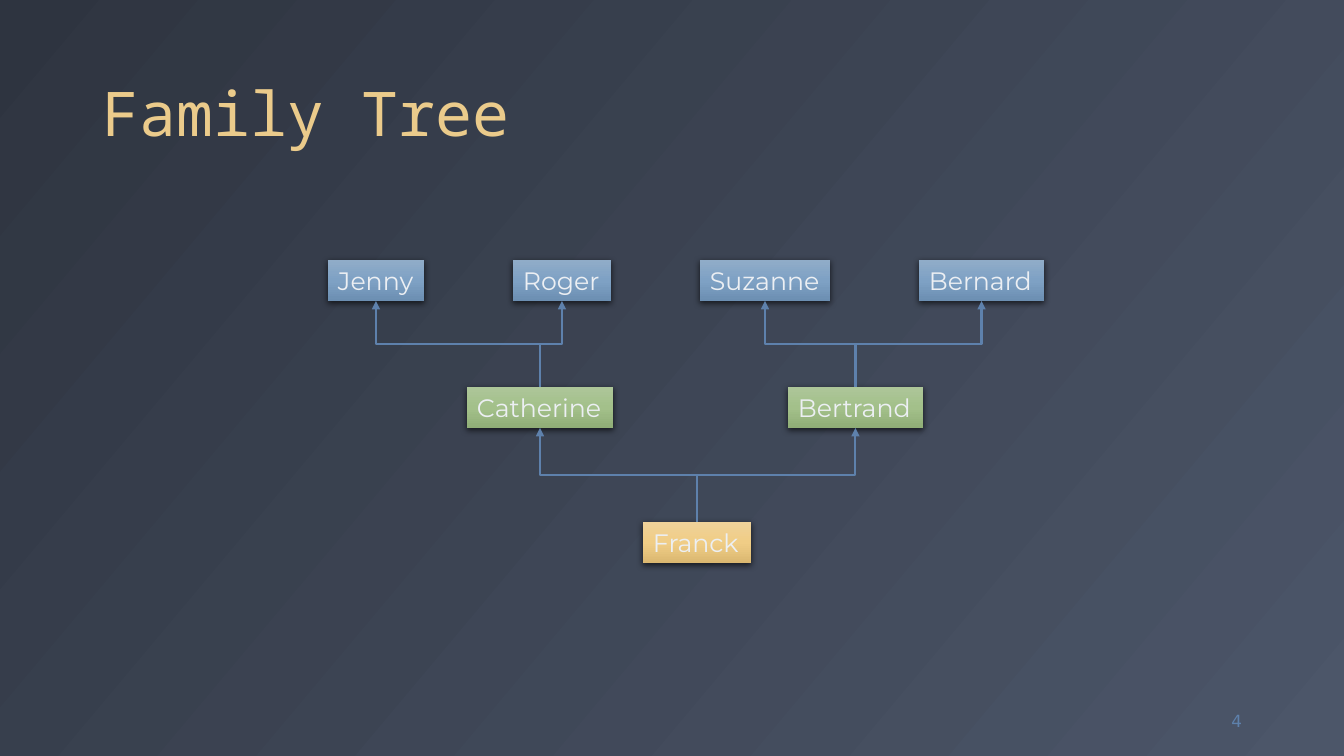
from lxml import etree
from pptx import Presentation
from pptx.dml.color import RGBColor
from pptx.enum.shapes import MSO_CONNECTOR, MSO_SHAPE
from pptx.enum.text import MSO_ANCHOR, MSO_AUTO_SIZE, PP_ALIGN
from pptx.oxml import parse_xml
from pptx.oxml.ns import nsdecls, qn
from pptx.util import Pt

ELBOW = MSO_CONNECTOR.ELBOW
RECTANGLE = MSO_SHAPE.RECTANGLE
TOP, MIDDLE, BOTTOM = MSO_ANCHOR.TOP, MSO_ANCHOR.MIDDLE, MSO_ANCHOR.BOTTOM
LEFT, RIGHT = PP_ALIGN.LEFT, PP_ALIGN.RIGHT
GROW = MSO_AUTO_SIZE.SHAPE_TO_FIT_TEXT

PX = 914400 / 100.8
SLIDE_WIDTH, SLIDE_HEIGHT = 1344, 756
NAME_HEIGHT = 41

GOLD = RGBColor(0xEB, 0xCB, 0x8B)
BLUE = RGBColor(0x5E, 0x81, 0xAC)
SNOW = RGBColor(0xEC, 0xEF, 0xF3)
NIGHT = [RGBColor(0x2E, 0x34, 0x40), RGBColor(0x4C, 0x56, 0x69)]
CHILD = [RGBColor(0xEF, 0xD2, 0x9A), RGBColor(0xF0, 0xCD, 0x86), RGBColor(0xDB, 0xB8, 0x71)]
PARENT = [RGBColor(0xAD, 0xC6, 0x99), RGBColor(0xA3, 0xC0, 0x8A), RGBColor(0x90, 0xAE, 0x77)]
GRANDPARENT = [RGBColor(0x90, 0xAC, 0xC8), RGBColor(0x7E, 0xA1, 0xC4), RGBColor(0x6C, 0x8F, 0xB2)]

# Each generation: top, gradient, then name, left and width of each member
GENERATIONS = [
    (522, CHILD, [("Franck", 643, 108)]),
    (387, PARENT, [("Catherine", 467, 146), ("Bertrand", 788, 135)]),
    (260, GRANDPARENT, [("Jenny", 328, 96), ("Roger", 513, 98),
                        ("Suzanne", 700, 130), ("Bernard", 919, 125)]),
]
PARENTS_OF = {
    "Franck": ["Catherine", "Bertrand"],
    "Catherine": ["Jenny", "Roger"],
    "Bertrand": ["Suzanne", "Bernard"],
}


def px(*lengths):
    return [round(length * PX) for length in lengths]


def set_gradient(fill, element, colors, angle):
    """Spread the colours evenly; the angle runs clockwise in degrees."""
    fill.gradient()
    fill.gradient_angle = 360 - angle
    stops = element.find(".//" + qn("a:gsLst"))
    for stop in list(stops):
        stops.remove(stop)
    for index, color in enumerate(colors):
        stop = etree.SubElement(stops, qn("a:gs"), pos=str(100000 * index // (len(colors) - 1)))
        etree.SubElement(stop, qn("a:srgbClr"), val=str(color))


def write(box, text, size, font, color, anchor, align):
    frame = box.text_frame
    frame.vertical_anchor = anchor
    para = frame.paragraphs[0]
    para.alignment = align
    span = para.add_run()
    span.text = text
    span.font.size = Pt(size)
    span.font.name = font
    span.font.color.rgb = color
    return para


def add_title(page, bounds):
    box = page.shapes.add_textbox(*px(*bounds))
    box.text_frame.word_wrap = True
    para = write(box, "Family Tree", 44, "Noto Sans Mono", GOLD, BOTTOM, LEFT)
    para.line_spacing = 0.9


def add_page_number(page, bounds):
    box = page.shapes.add_textbox(*px(*bounds))
    box.text_frame.word_wrap = True
    write(box, "4", 12, "DejaVu Sans", BLUE, MIDDLE, RIGHT)


def add_member(page, name, bounds, colors):
    box = page.shapes.add_shape(RECTANGLE, *px(*bounds))
    box.line.fill.background()
    set_gradient(box.fill, box._element, colors, 90)
    box._element.spPr.append(parse_xml(
        f'<a:effectLst {nsdecls("a")}><a:outerShdw blurRad="57150" dist="19050" '
        'dir="5400000" algn="ctr" rotWithShape="0"><a:srgbClr val="000000">'
        '<a:alpha val="63000"/></a:srgbClr></a:outerShdw></a:effectLst>'))
    box.text_frame.word_wrap = False
    box.text_frame.auto_size = GROW
    write(box, name, 18, "Montserrat", SNOW, TOP, LEFT)
    return box


def add_branch(page, child, parent):
    """Elbow arrow from the child's top up to the parent's bottom."""
    start_x = child.left + child.width // 2
    end_x = parent.left + parent.width // 2
    end_y = parent.top + parent.height
    rise, run = child.top - end_y, abs(end_x - start_x)

    # Lay the elbow on its side around its centre, then turn it upright
    left = (start_x + end_x - rise) // 2
    top = (child.top + end_y - run) // 2
    right, bottom = left + rise, top + run
    if end_x < start_x:
        branch = page.shapes.add_connector(ELBOW, left, bottom, right, top)
        turn = 270
    else:
        branch = page.shapes.add_connector(ELBOW, right, bottom, left, top)
        turn = 90
    properties = branch._element.spPr
    properties.find(qn("a:xfrm")).set("rot", str(turn * 60000))

    branch.line.color.rgb = BLUE
    branch.line.width = Pt(1.5)
    etree.SubElement(properties.find(qn("a:ln")), qn("a:tailEnd"), type="triangle")
    etree.SubElement(properties, qn("a:effectLst"))


def add_family_tree(page, generations):
    members = {}
    for top, colors, people in generations:
        for name, left, width in people:
            members[name] = add_member(page, name, (left, top, width, NAME_HEIGHT), colors)
    for child, parents in PARENTS_OF.items():
        for parent in parents:
            add_branch(page, members[child], members[parent])


def main():
    deck = Presentation()
    deck.slide_width, deck.slide_height = px(SLIDE_WIDTH, SLIDE_HEIGHT)
    page = deck.slides.add_slide(deck.slide_layouts[6])
    set_gradient(page.background.fill, page._element, NIGHT, 40)
    add_title(page, (93, 18, 1159, 137))
    add_page_number(page, (1168, 701, 84, 40))
    add_family_tree(page, GENERATIONS)
    deck.save("out.pptx")


if __name__ == "__main__":
    main()
